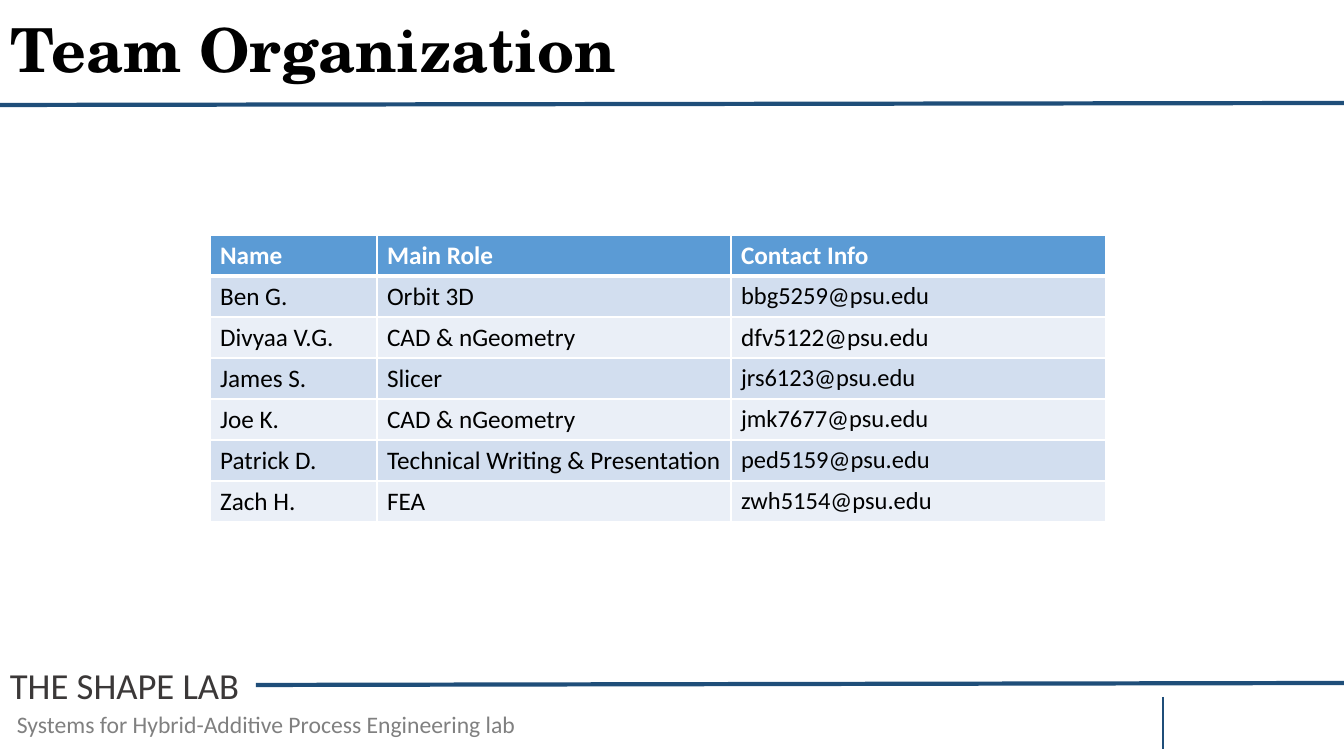
from dataclasses import dataclass

from lxml import etree
from pptx import Presentation
from pptx.dml.color import RGBColor
from pptx.enum.shapes import MSO_CONNECTOR
from pptx.enum.text import MSO_ANCHOR, MSO_AUTO_SIZE, PP_ALIGN
from pptx.oxml.ns import qn
from pptx.util import Emu, Pt

STRAIGHT = MSO_CONNECTOR.STRAIGHT
MIDDLE = MSO_ANCHOR.MIDDLE
LEFT = PP_ALIGN.LEFT
FIT_SHAPE = MSO_AUTO_SIZE.SHAPE_TO_FIT_TEXT
NO_FIT = MSO_AUTO_SIZE.NONE

NAVY = RGBColor(0x1F, 0x4E, 0x79)
CHARCOAL = RGBColor(0x3B, 0x38, 0x38)
GRAY = RGBColor(0x80, 0x80, 0x80)
BLACK = RGBColor(0x00, 0x00, 0x00)
WHITE = RGBColor(0xFF, 0xFF, 0xFF)
HEADER_BLUE = RGBColor(0x5B, 0x9B, 0xD5)
BAND_DARK = RGBColor(0xD2, 0xDE, 0xEF)
BAND_LIGHT = RGBColor(0xEA, 0xEF, 0xF7)

BODY_FONT = "Calibri"
TITLE_FONT = "TeX Gyre Schola"

SLIDE_W, SLIDE_H = 1344, 756
EMU_PER_PX = 12192000 / SLIDE_W

TABLE_LEFT, TABLE_TOP, ROW_H = 210, 235, 41
COL_WIDTHS = (167, 354, 375)


@dataclass(frozen=True)
class Rule:
    x1: int
    y1: int
    x2: int
    y2: int
    weight: float


@dataclass(frozen=True)
class Label:
    text: str
    left: int
    top: int
    width: int
    height: int
    size: float
    color: RGBColor


@dataclass(frozen=True)
class Member:
    name: str
    role: str
    email: str
    email_size: float = 17.5


RULES = (
    Rule(256, 685, SLIDE_W, 683, 3),
    Rule(0, 105, SLIDE_W, 103, 3),
    Rule(1163, 697, 1163, 749, 1.5),
)
LABELS = (
    Label("THE SHAPE LAB", 0, 658, 253, 54, 26.2, CHARCOAL),
    Label("Systems for Hybrid-Additive Process Engineering lab",
          7, 705, 523, 39, 16.9, GRAY),
)
HEADINGS = ("Name", "Main Role", "Contact Info")
TEAM = (
    Member("Ben G.", "Orbit 3D", "bbg5259@psu.edu"),
    Member("Divyaa V.G.", "CAD & nGeometry", "dfv5122@psu.edu", 18),
    Member("James S.", "Slicer", "jrs6123@psu.edu"),
    Member("Joe K.", "CAD & nGeometry", "jmk7677@psu.edu"),
    Member("Patrick D.", "Technical Writing & Presentation", "ped5159@psu.edu"),
    Member("Zach H.", "FEA", "zwh5154@psu.edu"),
)


def px(n: int) -> Emu:
    return Emu(round(n * EMU_PER_PX))


def add_run(p, text: str, size: float, color: RGBColor,
            font: str = BODY_FONT, bold: bool = False) -> None:
    r = p.add_run()
    r.text = text
    r.font.name = font
    r.font.size = Pt(size)
    r.font.bold = bold
    r.font.color.rgb = color


def add_rule(s, rule: Rule) -> None:
    line = s.shapes.add_connector(
        STRAIGHT, px(rule.x1), px(rule.y1), px(rule.x2), px(rule.y2))
    line.line.color.rgb = NAVY
    line.line.width = Pt(rule.weight)
    etree.SubElement(line._element.spPr, qn("a:effectLst"))


def add_label(s, label: Label) -> None:
    sp = s.shapes.add_textbox(
        px(label.left), px(label.top), px(label.width), px(label.height))
    tf = sp.text_frame
    tf.word_wrap = False
    tf.auto_size = FIT_SHAPE
    add_run(tf.paragraphs[0], label.text, label.size, label.color)


def set_title(s, text: str) -> None:
    sp = s.shapes.title
    sp.left, sp.top, sp.width, sp.height = px(0), px(0), px(SLIDE_W), px(105)
    tf = sp.text_frame
    tf.vertical_anchor = MIDDLE
    tf.auto_size = NO_FIT
    p = tf.paragraphs[0]
    p.alignment = LEFT
    p.line_spacing = 0.9
    add_run(p, text, 43.3, BLACK, TITLE_FONT, True)


def add_borders(cell, top: float, bottom: float) -> None:
    tc_pr = cell._tc.get_or_add_tcPr()
    for side, weight in (("L", 1), ("R", 1), ("T", top), ("B", bottom)):
        ln = etree.SubElement(tc_pr, qn(f"a:ln{side}"), w=str(Pt(weight)))
        fill = etree.SubElement(ln, qn("a:solidFill"))
        etree.SubElement(fill, qn("a:srgbClr"), val=str(WHITE))


def fill_cell(cell, text: str, row: int, size: float) -> None:
    header = row == 0
    add_borders(cell, 3 if row == 1 else 1, 3 if header else 1)
    cell.fill.solid()
    band = BAND_DARK if row % 2 else BAND_LIGHT
    cell.fill.fore_color.rgb = HEADER_BLUE if header else band
    add_run(cell.text_frame.paragraphs[0], text, size,
            WHITE if header else BLACK, bold=header)


def add_team_table(s) -> None:
    rows = len(TEAM) + 1
    table = s.shapes.add_table(
        rows, len(COL_WIDTHS), px(TABLE_LEFT), px(TABLE_TOP),
        px(sum(COL_WIDTHS)), px(rows * ROW_H)).table
    for column, width in zip(table.columns, COL_WIDTHS):
        column.width = px(width)
    for col, heading in enumerate(HEADINGS):
        fill_cell(table.cell(0, col), heading, 0, 18)
    for row, member in enumerate(TEAM, 1):
        fill_cell(table.cell(row, 0), member.name, row, 18)
        fill_cell(table.cell(row, 1), member.role, row, 18)
        fill_cell(table.cell(row, 2), member.email, row, member.email_size)


def main() -> None:
    prs = Presentation()
    prs.slide_width, prs.slide_height = px(SLIDE_W), px(SLIDE_H)
    s = prs.slides.add_slide(prs.slide_layouts.get_by_name("Title Only"))
    for rule in RULES:
        add_rule(s, rule)
    for label in LABELS:
        add_label(s, label)
    set_title(s, "Team Organization")
    add_team_table(s)
    prs.save("out.pptx")


if __name__ == "__main__":
    main()
